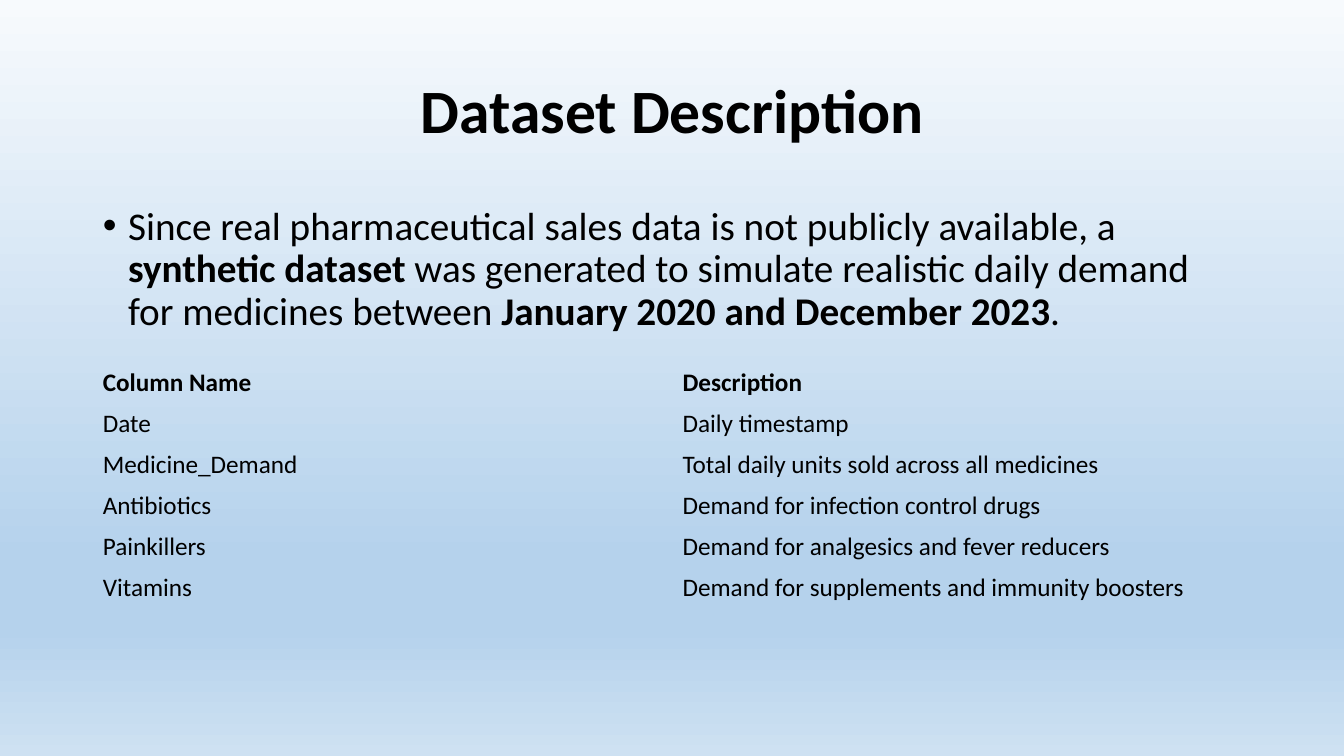
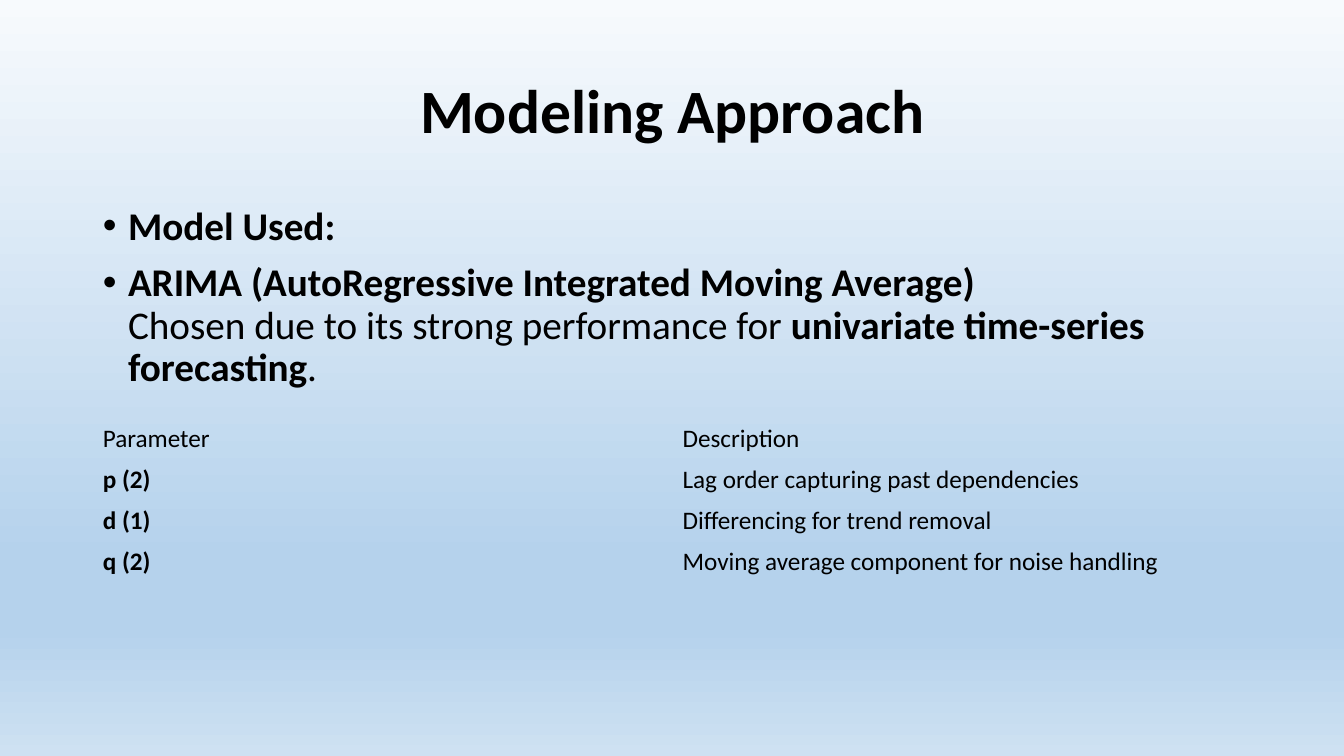
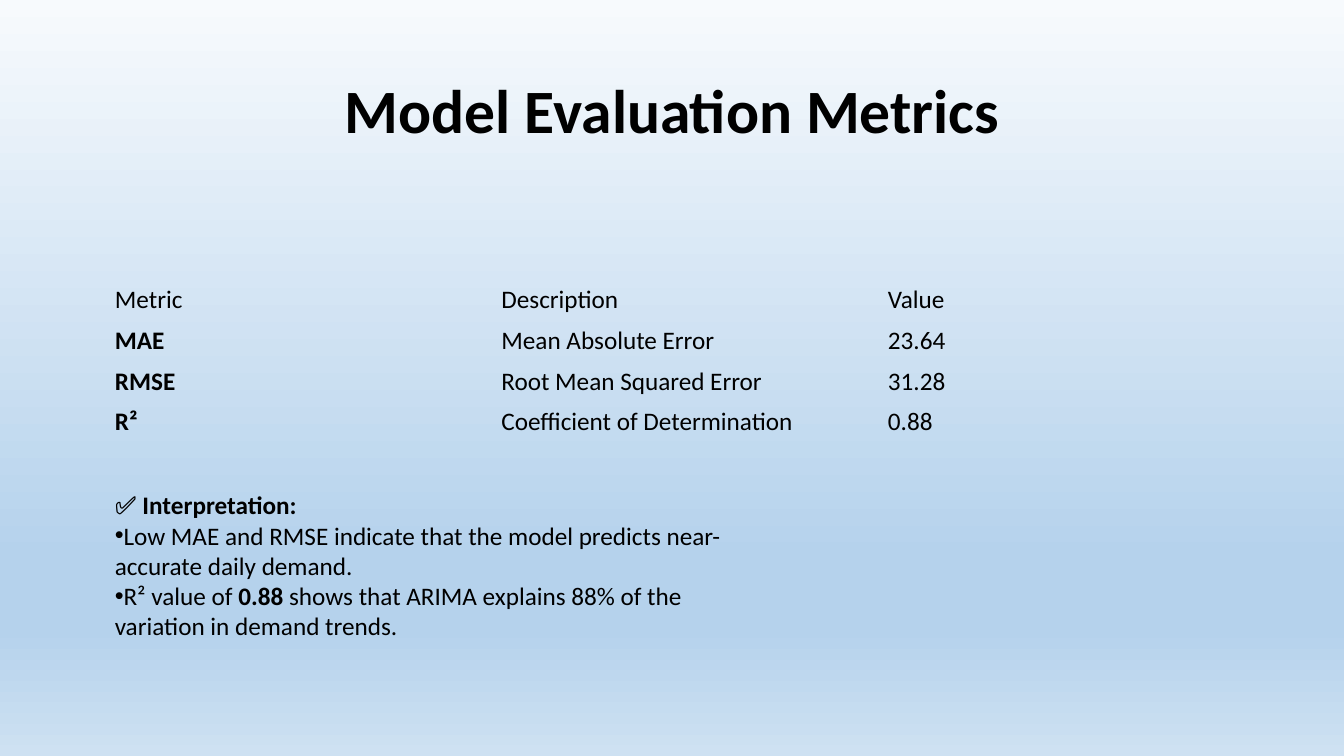
from lxml.etree import SubElement
from pptx import Presentation
from pptx.dml.color import RGBColor
from pptx.enum.text import MSO_ANCHOR, MSO_AUTO_SIZE, PP_ALIGN
from pptx.oxml.ns import qn
from pptx.util import Inches, Pt

# Shared style
FONT = "Calibri"
INK = "000000"
BACKGROUND_STOPS = [(0, "F7FAFD"), (74, "B5D2EC"), (83, "B5D2EC"), (100, "CEE1F2")]
LEFT, CONTENT_WIDTH = 0.92, 11.5
ROW_HEIGHT = 0.4
PLAIN_TABLE_STYLE = "{2D5ABB26-0587-4C30-8999-92F81FD0307C}"

# Content: text between ** marks is bold
SLIDES = [
    {
        "title": "Dataset Description",
        "bullets": [
            "Since real pharmaceutical sales data is not publicly available, a "
            "**synthetic dataset** was generated to simulate realistic daily demand "
            "for medicines between **January 2020 and December 2023**.",
        ],
        "table_at": (LEFT, 3.6),
        "rows": [
            ("**Column Name**", "**Description**"),
            ("Date", "Daily timestamp"),
            ("Medicine_Demand", "Total daily units sold across all medicines"),
            ("Antibiotics", "Demand for infection control drugs"),
            ("Painkillers", "Demand for analgesics and fever reducers"),
            ("Vitamins", "Demand for supplements and immunity boosters"),
        ],
    },
    {
        "title": "Modeling Approach",
        "bullets": [
            "**Model Used:**",
            "**ARIMA (AutoRegressive Integrated Moving Average)**\n"
            "Chosen due to its strong performance for "
            "**univariate time-series forecasting**.",
        ],
        "table_at": (LEFT, 4.15),
        "rows": [
            ("Parameter", "Description"),
            ("**p (2)**", "Lag order capturing past dependencies"),
            ("**d (1)**", "Differencing for trend removal"),
            ("**q (2)**", "Moving average component for noise handling"),
        ],
    },
    {
        "title": "Model Evaluation Metrics",
        "table_at": (1.04, 2.77),
        "rows": [
            ("Metric", "Description", "Value"),
            ("**MAE**", "Mean Absolute Error", "23.64"),
            ("**RMSE**", "Root Mean Squared Error", "31.28"),
            ("**R²**", "Coefficient of Determination", "0.88"),
        ],
        "interpretation": [
            "✅ **Interpretation:**",
            "Low MAE and RMSE indicate that the model predicts near-accurate daily demand.",
            "R² value of **0.88** shows that ARIMA explains 88% of the variation "
            "in demand trends.",
        ],
    },
]


def color(hex_string):
    return RGBColor.from_string(hex_string)


def place(shape, left, top, width, height):
    shape.left, shape.top = Inches(left), Inches(top)
    shape.width, shape.height = Inches(width), Inches(height)


def write(para, text, size):
    """Fill a paragraph, turning ** marks into bold and newlines into breaks."""
    para.font.name, para.font.size = FONT, Pt(size)
    para.font.color.rgb = color(INK)
    for index, part in enumerate(text.split("**")):
        for line_number, line in enumerate(part.split("\n")):
            if line_number:
                para.add_line_break()
            if line:
                span = para.add_run()
                span.text = line
                span.font.name, span.font.size = FONT, Pt(size)
                span.font.color.rgb = color(INK)
                span.font.bold = index % 2 == 1


def write_list(frame, texts, size):
    for index, text in enumerate(texts):
        para = frame.add_paragraph() if index else frame.paragraphs[0]
        write(para, text, size)
    return frame.paragraphs


def add_bullet(para, indent):
    properties = para._p.get_or_add_pPr()
    properties.set("marL", str(Inches(indent)))
    properties.set("indent", str(-Inches(indent)))
    SubElement(properties, qn("a:buFont")).set("typeface", "Arial")
    SubElement(properties, qn("a:buChar")).set("char", "•")
    # Default run properties must follow the bullet
    defaults = properties.find(qn("a:defRPr"))
    if defaults is not None:
        properties.append(defaults)


def set_background(master):
    fill = master.background.fill
    fill.gradient()
    fill.gradient_angle = 270
    stops = master.element.find(".//" + qn("p:bg")).find(".//" + qn("a:gsLst"))
    for stop in list(stops):
        stops.remove(stop)
    for percent, shade in BACKGROUND_STOPS:
        stop = SubElement(stops, qn("a:gs"), pos=str(percent * 1000))
        SubElement(stop, qn("a:srgbClr"), val=shade)


def add_title(page, text):
    title = page.shapes.title
    place(title, LEFT, 0.4, CONTENT_WIDTH, 1.45)
    title.text_frame.vertical_anchor = MSO_ANCHOR.MIDDLE
    para = title.text_frame.paragraphs[0]
    write(para, f"**{text}**", 44)
    para.alignment, para.line_spacing = PP_ALIGN.CENTER, 0.9


def add_bullets(page, texts):
    body = page.placeholders[1]
    place(body, LEFT, 2, CONTENT_WIDTH, 4.76)
    body.text_frame.auto_size = MSO_AUTO_SIZE.NONE
    for para in write_list(body.text_frame, texts, 28):
        para.line_spacing, para.space_before = 0.9, Pt(10)
        add_bullet(para, 0.25)


def add_plain_table(page, rows, left, top):
    frame = page.shapes.add_table(
        len(rows), len(rows[0]), Inches(left), Inches(top),
        Inches(CONTENT_WIDTH), Inches(ROW_HEIGHT * len(rows)))
    table = frame.table
    table.first_row = table.horz_banding = False
    table._tbl.tblPr.find(qn("a:tableStyleId")).text = PLAIN_TABLE_STYLE
    for row, texts in zip(table.rows, rows):
        for cell, text in zip(row.cells, texts):
            cell.fill.background()
            cell.vertical_anchor = MSO_ANCHOR.MIDDLE
            write(cell.text_frame.paragraphs[0], text, 18)


def add_interpretation(page, texts):
    box = page.shapes.add_textbox(Inches(1.04), Inches(4.81), Inches(6.67), Inches(1.62))
    box.text_frame.word_wrap = True
    box.text_frame.auto_size = MSO_AUTO_SIZE.SHAPE_TO_FIT_TEXT
    for para in write_list(box.text_frame, texts, 18)[1:]:
        add_bullet(para, 0)


def main():
    deck = Presentation()
    deck.slide_width, deck.slide_height = Inches(13.33), Inches(7.5)
    set_background(deck.slide_master)
    title_and_content, title_only = deck.slide_layouts[1], deck.slide_layouts[5]
    for content in SLIDES:
        has_bullets = "bullets" in content
        page = deck.slides.add_slide(title_and_content if has_bullets else title_only)
        add_title(page, content["title"])
        if has_bullets:
            add_bullets(page, content["bullets"])
        add_plain_table(page, content["rows"], *content["table_at"])
        if "interpretation" in content:
            add_interpretation(page, content["interpretation"])
    deck.save("out.pptx")


if __name__ == "__main__":
    main()
